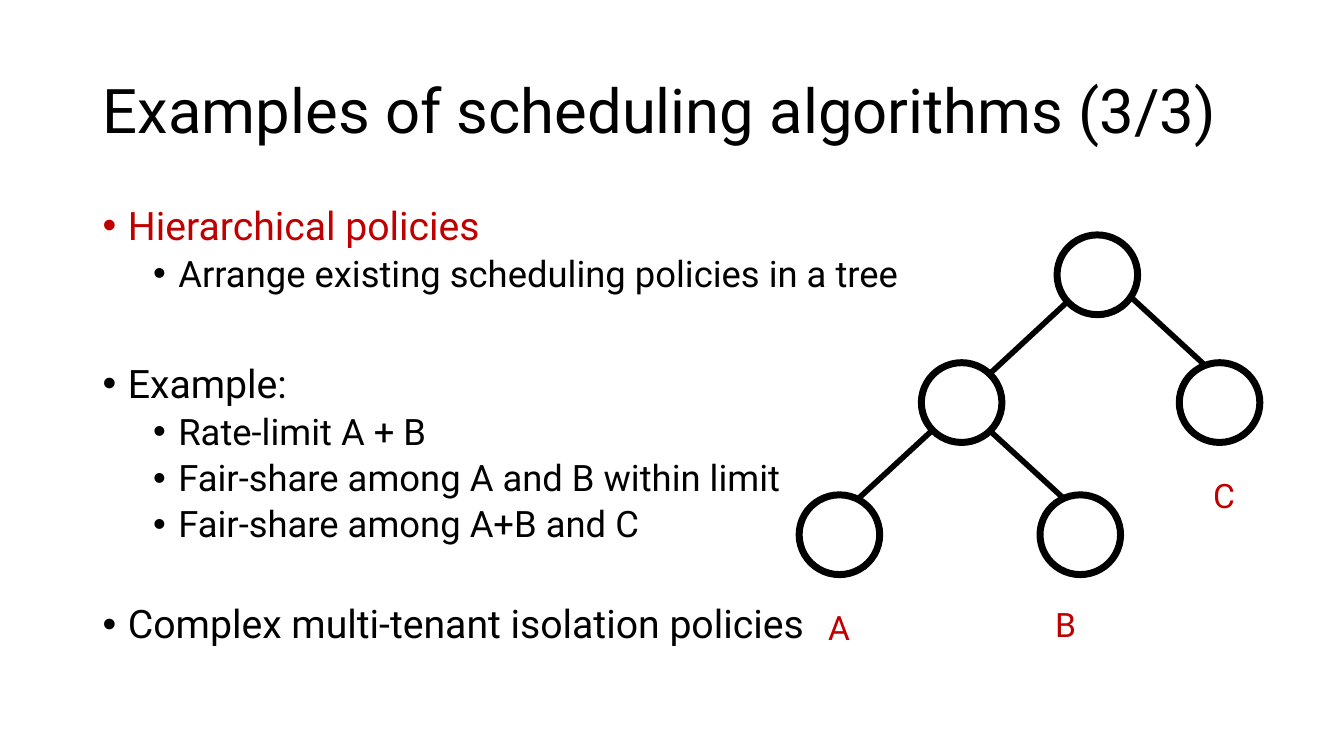
from dataclasses import dataclass

import lxml.etree
import pptx
import pptx.dml.color
import pptx.enum.shapes
import pptx.enum.text
import pptx.oxml.ns
import pptx.util

Cm = pptx.util.Cm
Pt = pptx.util.Pt

COLORS = {"ink": "000000", "accent": "C00000"}
FONT = "Roboto"
NODE_WIDTH, NODE_HEIGHT = 2.03, 2.01
LABEL_WIDTH, LABEL_HEIGHT = 1.75, 1.27


@dataclass
class Bullet:
    text: str
    level: int
    space_before: float
    color: str = "ink"


@dataclass
class Node:
    left: float
    top: float


@dataclass
class Label:
    text: str
    left: float
    top: float


@dataclass
class Edge:
    x1: float
    y1: float
    x2: float
    y2: float


# Larger spaces separate the three groups of bullets
BULLETS = [
    Bullet("Hierarchical policies", 0, 0, "accent"),
    Bullet("Arrange existing scheduling policies in a tree", 1, 5),
    Bullet("Example:", 0, 49.5),
    Bullet("Rate-limit A + B", 1, 5),
    Bullet("Fair-share among A and B within limit", 1, 5),
    Bullet("Fair-share among A+B and C", 1, 5),
    Bullet("Complex multi-tenant isolation policies", 0, 42.5),
]
BULLET_SIZES = [28, 26]

NODES = [
    Node(26.64, 5.92),
    Node(23.22, 9.14),
    Node(29.72, 9.14),
    Node(20.14, 12.47),
    Node(26.21, 12.47),
]
LABELS = [
    Label("A", 20.27, 15.16),
    Label("B", 25.98, 15.09),
    Label("C", 29.97, 11.84),
]
EDGES = [
    Edge(26.85, 7.65, 24.94, 9.42),
    Edge(23.52, 10.82, 21.59, 12.6),
    Edge(24.94, 10.85, 26.85, 12.6),
    Edge(28.45, 7.44, 30.35, 9.19),
]


def rgb(color: str) -> pptx.dml.color.RGBColor:
    return pptx.dml.color.RGBColor.from_string(COLORS[color])


def add_run(paragraph, text: str, size: float, color: str) -> None:
    run = paragraph.add_run()
    run.text = text
    run.font.name = FONT
    run.font.size = Pt(size)
    run.font.color.rgb = rgb(color)


def add_bullet(paragraph, bullet: Bullet) -> None:
    properties = paragraph._p.get_or_add_pPr()
    properties.set("marL", str(pptx.util.Inches(0.25 + 0.5 * bullet.level)))
    properties.set("indent", str(pptx.util.Inches(-0.25)))
    qn = pptx.oxml.ns.qn
    lxml.etree.SubElement(properties, qn("a:buFont")).set("typeface", "Arial")
    lxml.etree.SubElement(properties, qn("a:buChar")).set("char", "•")
    paragraph.level = bullet.level
    paragraph.line_spacing = 0.9
    paragraph.space_before = Pt(bullet.space_before)
    add_run(paragraph, bullet.text, BULLET_SIZES[bullet.level], bullet.color)


def add_node(slide, node: Node) -> None:
    circle = slide.shapes.add_shape(
        pptx.enum.shapes.MSO_SHAPE.OVAL,
        Cm(node.left), Cm(node.top), Cm(NODE_WIDTH), Cm(NODE_HEIGHT),
    )
    circle.shadow.inherit = False
    circle.fill.background()
    circle.line.color.rgb = rgb("ink")
    circle.line.width = Pt(5)


def add_label(slide, label: Label) -> None:
    caption = slide.shapes.add_textbox(
        Cm(label.left), Cm(label.top), Cm(LABEL_WIDTH), Cm(LABEL_HEIGHT)
    )
    caption.text_frame.word_wrap = True
    paragraph = caption.text_frame.paragraphs[0]
    paragraph.alignment = pptx.enum.text.PP_ALIGN.CENTER
    add_run(paragraph, label.text, 24, "accent")


def add_edge(slide, edge: Edge) -> None:
    branch = slide.shapes.add_connector(
        pptx.enum.shapes.MSO_CONNECTOR.STRAIGHT,
        Cm(edge.x1), Cm(edge.y1), Cm(edge.x2), Cm(edge.y2),
    )
    branch.line.color.rgb = rgb("ink")
    branch.line.width = Pt(4)
    lxml.etree.SubElement(
        branch._element.spPr, pptx.oxml.ns.qn("a:effectLst")
    )


def main() -> None:
    deck = pptx.Presentation()
    deck.slide_width, deck.slide_height = Cm(33.87), Cm(19.05)
    slide = deck.slides.add_slide(deck.slide_layouts.get_by_name("Title Only"))

    # Title
    title = slide.shapes.title
    title.left, title.top = Cm(2.34), Cm(1.02)
    title.width, title.height = Cm(29.21), Cm(3.68)
    title.text_frame.auto_size = pptx.enum.text.MSO_AUTO_SIZE.NONE
    title.text_frame.vertical_anchor = pptx.enum.text.MSO_ANCHOR.MIDDLE
    heading = title.text_frame.paragraphs[0]
    heading.alignment = pptx.enum.text.PP_ALIGN.LEFT
    heading.line_spacing = 0.9
    add_run(heading, "Examples of scheduling algorithms (3/3)", 44, "ink")

    # Policies
    policies = slide.shapes.add_textbox(
        Cm(2.34), Cm(5.08), Cm(29.21), Cm(12.09)
    ).text_frame
    policies.word_wrap = True
    for index, bullet in enumerate(BULLETS):
        paragraph = policies.add_paragraph() if index else policies.paragraphs[0]
        add_bullet(paragraph, bullet)

    # Scheduling tree
    for node in NODES:
        add_node(slide, node)
    for label in LABELS:
        add_label(slide, label)
    for edge in EDGES:
        add_edge(slide, edge)

    deck.save("out.pptx")


if __name__ == "__main__":
    main()
